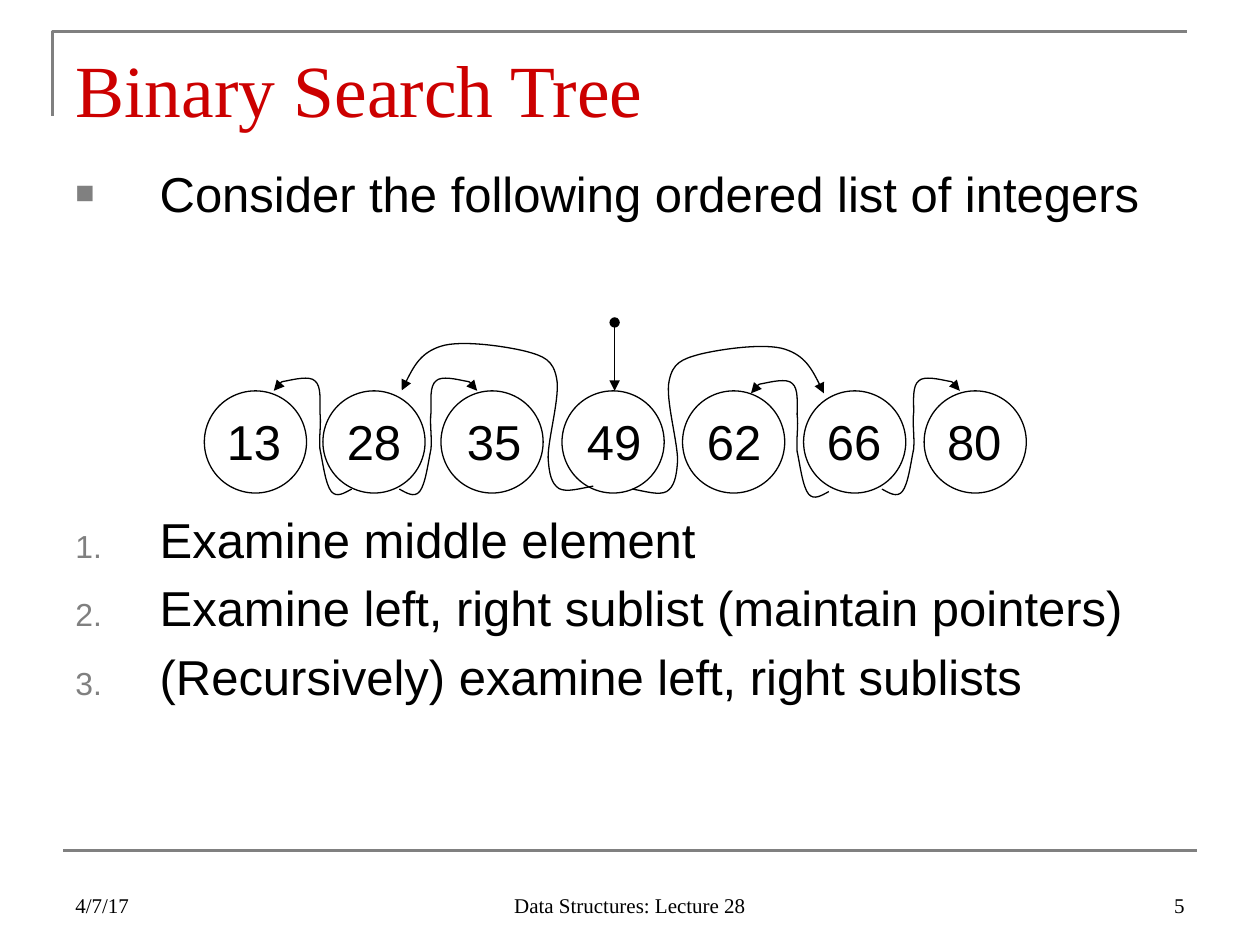
import dataclasses

import pptx
import pptx.dml.color
import pptx.enum.shapes
import pptx.enum.text
import pptx.oxml
import pptx.oxml.ns
import pptx.util

Cm, Pt = pptx.util.Cm, pptx.util.Pt
RGB = pptx.dml.color.RGBColor.from_string
ALIGN = pptx.enum.text.PP_ALIGN
ANCHOR = pptx.enum.text.MSO_ANCHOR
SHAPE = pptx.enum.shapes.MSO_SHAPE
NS = pptx.oxml.ns.nsdecls("a")
qn = pptx.oxml.ns.qn


@dataclasses.dataclass(frozen=True)
class Theme:
    ink: str = "000000"
    title: str = "CC0000"
    rule: str = "808080"
    serif: str = "Times New Roman"
    sans: str = "Arial"
    title_size: int = 42
    body_size: int = 28
    footer_size: int = 12
    rule_width: float = 1.5
    line_width: float = 0.75


SQUARE = f'<a:buChar {NS} char="■"/>'
NUMBER = f'<a:buAutoNum {NS} type="arabicPeriod"/>'

# Body lines: text, bullet, space before in points (the diagram sits in the large gap).
BODY = [
    ("Consider the following ordered list of integers", SQUARE, 0),
    ("Examine middle element", NUMBER, 164),
    ("Examine left, right sublist (maintain pointers)", NUMBER, 5.6),
    ("(Recursively) examine left, right sublists", NUMBER, 5.6)]

# Link curves as Bezier points in cm, relative to where the link leaves its node.
LONG_LINK = [
    (0, 0), (0.28, 0.05), (0.53, 0.13), (0.69, 0.05),
    (0.84, -0.05), (0.89, -0.23), (0.91, -0.58),
    (0.91, -0.97), (0.66, -1.83), (0.74, -2.18),
    (0.81, -2.54), (0.99, -2.62), (1.37, -2.72),
    (1.78, -2.82), (2.67, -2.95), (3.07, -2.82),
    (3.48, -2.69), (3.68, -2.31), (3.86, -1.93)]
SHORT_LINK = [
    (0, 0), (0.15, 0.08), (0.3, 0.18), (0.41, 0.05),
    (0.53, -0.1), (0.58, -0.53), (0.64, -0.81),
    (0.66, -1.07), (0.61, -1.32), (0.64, -1.55),
    (0.64, -1.78), (0.61, -2.08), (0.74, -2.18),
    (0.84, -2.29), (1.17, -2.21), (1.32, -2.18),
    (1.45, -2.16), (1.52, -2.06), (1.57, -1.98)]
LEFT, RIGHT = -1, 1
LINKS = [
    (LONG_LINK, 11.96, 9.8, LEFT), (LONG_LINK, 12.75, 9.86, RIGHT),
    (SHORT_LINK, 8.05, 9.86, RIGHT), (SHORT_LINK, 17.78, 9.86, RIGHT),
    (SHORT_LINK, 7.09, 9.86, LEFT), (SHORT_LINK, 16.71, 9.91, LEFT)]

NODES = [(13, 4.12), (28, 6.51), (35, 8.89), (49, 11.33), (62, 13.76), (66, 16.2), (80, 18.63)]
NODE_TOP, NODE_SIZE = 7.88, 2.06
LABEL_LEFT, LABEL_PITCH = 3.91, 2.42


def apply(target, formats):
    for name, value in formats.items():
        setattr(target, name, value)


def bend(sp):
    """Turn each three line segments of a freeform into one cubic Bezier."""
    segments = list(sp._element.iter(qn("a:lnTo")))
    for i in range(0, len(segments), 3):
        curve = pptx.oxml.parse_xml(f"<a:cubicBezTo {NS}/>")
        segments[i].addprevious(curve)
        for segment in segments[i:i + 3]:
            curve.append(segment[0])
            segment.getparent().remove(segment)


class SlideBuilder:
    def __init__(self, prs, theme):
        self.theme = theme
        self.s = prs.slides.add_slide(prs.slide_layouts[6])

    def text(self, lines, box, size, font, color=None, align=ALIGN.LEFT, anchor=ANCHOR.TOP):
        """Add a text box; each line is (text, bullet or None, space before)."""
        sp = self.s.shapes.add_textbox(*map(Cm, box))
        tf = sp.text_frame
        apply(tf, {"word_wrap": True, "vertical_anchor": anchor})
        for i, (line, mark, space) in enumerate(lines):
            p = tf.paragraphs[0] if i == 0 else tf.add_paragraph()
            if mark:
                self.bullet(p, mark)
            apply(p, {"alignment": align, "space_before": Pt(space)})
            r = p.add_run()
            r.text = line
            apply(r.font, {"size": Pt(size), "name": font})
            r.font.color.rgb = RGB(color or self.theme.ink)

    def bullet(self, p, mark):
        pPr = p._p.get_or_add_pPr()
        pPr.set("marL", str(Cm(1.7)))
        pPr.set("indent", str(-Cm(1.7)))
        for xml in (f'<a:buClr {NS}><a:srgbClr val="{self.theme.rule}"/></a:buClr>',
                    f'<a:buSzPct {NS} val="65000"/>',
                    f'<a:buFont {NS} typeface="{self.theme.sans}"/>', mark):
            pPr.append(pptx.oxml.parse_xml(xml))

    def stroke(self, sp, color, width, **ends):
        sp.line.width = Pt(width)
        sp.line.color.rgb = RGB(color)
        ln = sp.line._get_or_add_ln()
        for tag, kind in ends.items():
            ln.append(pptx.oxml.parse_xml(f'<a:{tag} {NS} type="{kind}"/>'))

    def line(self, start, end, color, width, **ends):
        sp = self.s.shapes.add_connector(
            pptx.enum.shapes.MSO_CONNECTOR.STRAIGHT, *map(Cm, start + end))
        self.stroke(sp, color, width, **ends)
        sp._element.spPr.append(pptx.oxml.parse_xml(f"<a:effectLst {NS}/>"))

    def outline(self, points, color, width, **ends):
        """Draw an open, unfilled path through points in cm."""
        points = [(Cm(x), Cm(y)) for x, y in points]
        builder = self.s.shapes.build_freeform(*points[0])
        builder.add_line_segments(points[1:], close=False)
        sp = builder.convert_to_shape()
        self.finish(sp, color, width, **ends)
        return sp

    def link(self, control, x, y, side):
        points = [(x + side * dx, y + dy) for dx, dy in control]
        bend(self.outline(points, self.theme.ink, self.theme.line_width, tailEnd="triangle"))

    def circle(self, left, top, size):
        sp = self.s.shapes.add_shape(SHAPE.OVAL, *map(Cm, (left, top, size, size)))
        self.finish(sp, self.theme.ink, self.theme.line_width)

    def finish(self, sp, color, width, **ends):
        sp.shadow.inherit = False
        sp.fill.background()
        self.stroke(sp, color, width, **ends)


def main():
    prs = pptx.Presentation()
    apply(prs, {"slide_width": Cm(25.4), "slide_height": Cm(19.05)})
    theme = Theme()
    b = SlideBuilder(prs, theme)

    b.outline([(1.06, 2.33), (1.06, 0.63), (23.92, 0.63)], theme.rule, theme.rule_width)
    b.line((1.27, 17.15), (24.13, 17.15), theme.rule, theme.rule_width)
    b.text([("Binary Search Tree", None, 0)], (1.27, 0.77, 22.86, 1.98),
           theme.title_size, theme.serif, theme.title)
    b.text(BODY, (1.27, 3.17, 22.86, 13.84), theme.body_size, theme.sans)

    for i, (value, left) in enumerate(NODES):
        b.text([(str(value), None, 0)],
               (LABEL_LEFT + i * LABEL_PITCH, 8.18, LABEL_PITCH, 1.6),
               theme.body_size, theme.sans, align=ALIGN.CENTER)
        b.circle(left, NODE_TOP, NODE_SIZE)

    b.line((12.39, 6.5), (12.39, NODE_TOP), theme.ink, theme.line_width,
           headEnd="oval", tailEnd="triangle")
    for link in LINKS:
        b.link(*link)

    for text, left, width, align in [("4/7/17", 1.27, 5.92, ALIGN.LEFT),
                                     ("Data Structures: Lecture 28", 8.68, 8.04, ALIGN.CENTER),
                                     ("5", 18.21, 5.92, ALIGN.RIGHT)]:
        b.text([(text, None, 0)], (left, 17.35, width, 1.27), theme.footer_size, theme.serif,
               align=align, anchor=ANCHOR.BOTTOM)

    prs.save("out.pptx")


if __name__ == "__main__":
    main()
